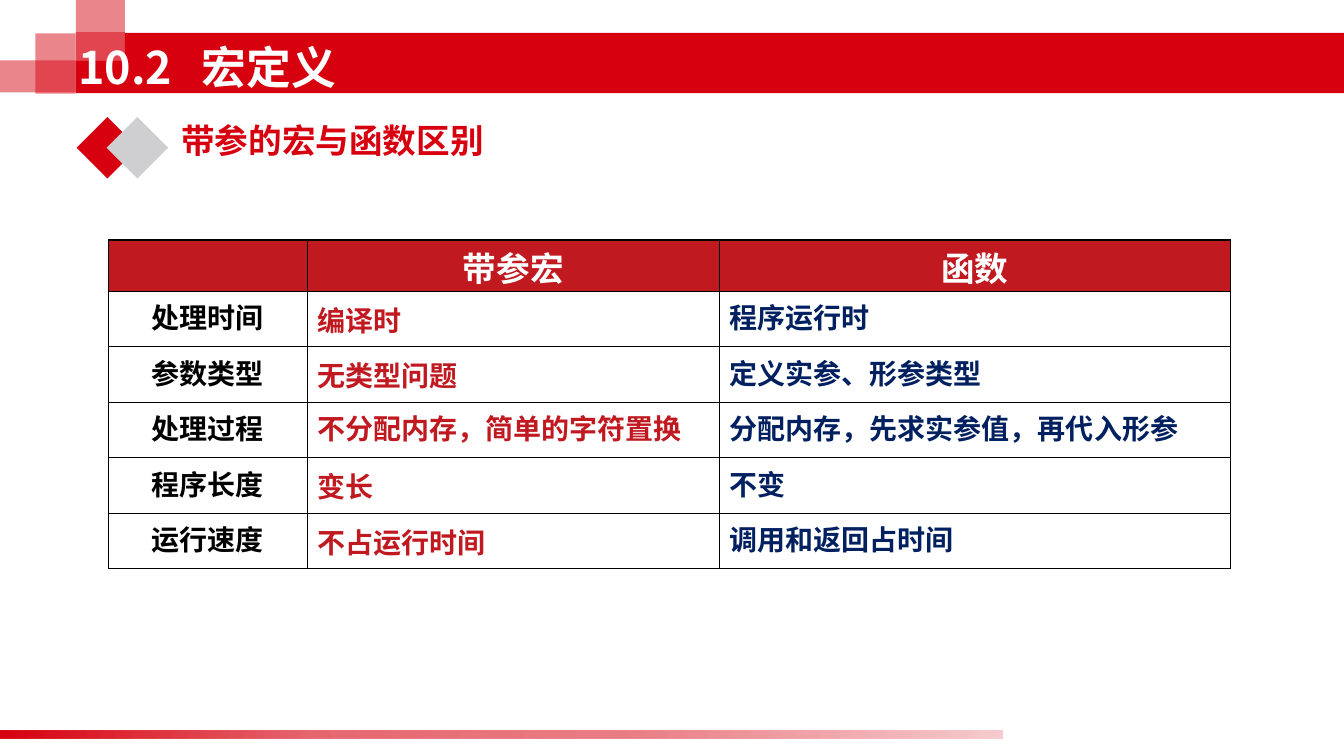
from lxml.etree import SubElement
from pptx import Presentation
from pptx.dml.color import RGBColor
from pptx.enum.shapes import MSO_SHAPE
from pptx.enum.text import MSO_ANCHOR, PP_ALIGN
from pptx.oxml import parse_xml
from pptx.oxml.ns import nsdecls, qn
from pptx.util import Cm, Pt

RED, DARK_RED, NAVY = "D7000F", "C01920", "002060"
BLACK, WHITE, GREY = "000000", "FFFFFF", "CFCFD1"
SANS, SERIF = "Noto Sans CJK SC", "Times New Roman"

# left, top, width, height in cm
TINTED_BLOCKS = [
    (0, 1.52, 3.15, 0.81),
    (0.89, 0.84, 1.02, 1.52),
    (1.91, 0, 1.24, 1.52),
    (1.91, 0.81, 1.24, 0.71),
]
COLUMN_WIDTHS = [5, 10.39, 12.88]
HEADER_HEIGHT, ROW_HEIGHT = 1.29, 1.4
ROWS = [
    ("", "带参宏", "函数"),
    ("处理时间", "编译时", "程序运行时"),
    ("参数类型", "无类型问题", "定义实参、形参类型"),
    ("处理过程", "不分配内存，简单的字符置换", "分配内存，先求实参值，再代入形参"),
    ("程序长度", "变长", "不变"),
    ("运行速度", "不占运行时间", "调用和返回占时间"),
]


def rgb(color):
    return RGBColor.from_string(color)


def add_block(slide, box, color, kind=MSO_SHAPE.RECTANGLE, alpha=None):
    """Add a borderless filled shape; alpha is the opacity in percent."""
    sp = slide.shapes.add_shape(kind, *map(Cm, box))
    sp.shadow.inherit = False
    sp.line.fill.background()
    sp.fill.solid()
    sp.fill.fore_color.rgb = rgb(color)
    if alpha is not None:
        srgb = sp._element.spPr.find(".//" + qn("a:srgbClr"))
        SubElement(srgb, qn("a:alpha"), val=str(alpha * 1000))
    return sp


def fade(sp, color, stops):
    """Replace the fill by a left-to-right gradient of (position, opacity) stops."""
    stop_xml = "".join(
        f'<a:gs pos="{pos * 1000}"><a:srgbClr val="{color}">'
        f'<a:alpha val="{alpha * 1000}"/></a:srgbClr></a:gs>'
        for pos, alpha in stops
    )
    gradient = parse_xml(
        f'<a:gradFill {nsdecls("a")}><a:gsLst>{stop_xml}</a:gsLst>'
        '<a:lin ang="0" scaled="0"/></a:gradFill>'
    )
    spPr = sp._element.spPr
    spPr.replace(spPr.find(qn("a:solidFill")), gradient)


def write(tf, text, size, color, font=SANS, align=PP_ALIGN.LEFT, tab=None):
    p = tf.paragraphs[0]
    p.alignment = align
    if tab:
        tabs = SubElement(p._p.get_or_add_pPr(), qn("a:tabLst"))
        SubElement(tabs, qn("a:tab"), pos=str(Cm(tab)), algn="l")
    r = p.add_run()
    r.text = text
    r.font.size = Pt(size)
    r.font.bold = True
    r.font.name = font
    r.font.color.rgb = rgb(color)
    SubElement(r._r.get_or_add_rPr(), qn("a:ea"), typeface=SANS)


def add_text(slide, box, text, anchor=MSO_ANCHOR.TOP, **fmt):
    tf = slide.shapes.add_textbox(*map(Cm, box)).text_frame
    tf.word_wrap = True
    tf.vertical_anchor = anchor
    write(tf, text, **fmt)


def add_borders(cell):
    tcPr = cell._tc.get_or_add_tcPr()
    for i, side in enumerate(("lnL", "lnR", "lnT", "lnB")):
        tcPr.insert(i, parse_xml(
            f'<a:{side} {nsdecls("a")} w="{Pt(1)}"><a:solidFill>'
            f'<a:srgbClr val="{BLACK}"/></a:solidFill></a:{side}>'
        ))


def format_header(cell, text):
    cell.fill.solid()
    cell.fill.fore_color.rgb = rgb(DARK_RED)
    cell.margin_top, cell.margin_bottom = Cm(0.05), 0
    write(cell.text_frame, text, 24, WHITE, SERIF, PP_ALIGN.CENTER)


def format_body(cell, text, col):
    cell.fill.background()
    if col == 1 and text != ROWS[3][1]:
        cell.vertical_anchor = MSO_ANCHOR.MIDDLE
    align = PP_ALIGN.LEFT if col else PP_ALIGN.CENTER
    write(cell.text_frame, text, 20, (BLACK, DARK_RED, NAVY)[col], SERIF, align)


def add_comparison(slide, left, top):
    heights = [HEADER_HEIGHT] + [ROW_HEIGHT] * (len(ROWS) - 1)
    size = Cm(sum(COLUMN_WIDTHS)), Cm(sum(heights))
    table = slide.shapes.add_table(
        len(ROWS), len(COLUMN_WIDTHS), Cm(left), Cm(top), *size).table
    table.first_row = table.horz_banding = False
    for column, width in zip(table.columns, COLUMN_WIDTHS):
        column.width = Cm(width)
    for row, height in zip(table.rows, heights):
        row.height = Cm(height)
    for i, texts in enumerate(ROWS):
        for j, text in enumerate(texts):
            cell = table.cell(i, j)
            if i == 0:
                format_header(cell, text)
            else:
                format_body(cell, text, j)
            add_borders(cell)


def main():
    prs = Presentation()
    prs.slide_width, prs.slide_height = Cm(33.87), Cm(19.05)
    slide = prs.slides.add_slide(prs.slide_layouts[6])

    add_block(slide, (3.15, 0.83, 30.72, 1.52), RED)
    for box in TINTED_BLOCKS:
        add_block(slide, box, RED, alpha=48)
    add_block(slide, (1.91, 1.52, 1.24, 0.83), RED)
    footer = add_block(slide, (0, 18.42, 25.27, 0.2), RED)
    fade(footer, RED, [(0, 100), (31, 60), (64, 50), (100, 20)])

    add_comparison(slide, 2.74, 6.05)
    add_text(slide, (1.73, 0.84, 22.61, 1.7), "10.2\t宏定义",
             anchor=MSO_ANCHOR.MIDDLE, size=32, color=WHITE, tab=3.1)
    add_text(slide, (4.32, 2.9, 8.81, 1.27), "带参的宏与函数区别", size=24, color=RED)
    for left, color in ((1.93, RED), (2.69, GREY)):
        add_block(slide, (left, 2.95, 1.55, 1.55), color, MSO_SHAPE.DIAMOND)

    prs.save("out.pptx")


if __name__ == "__main__":
    main()
